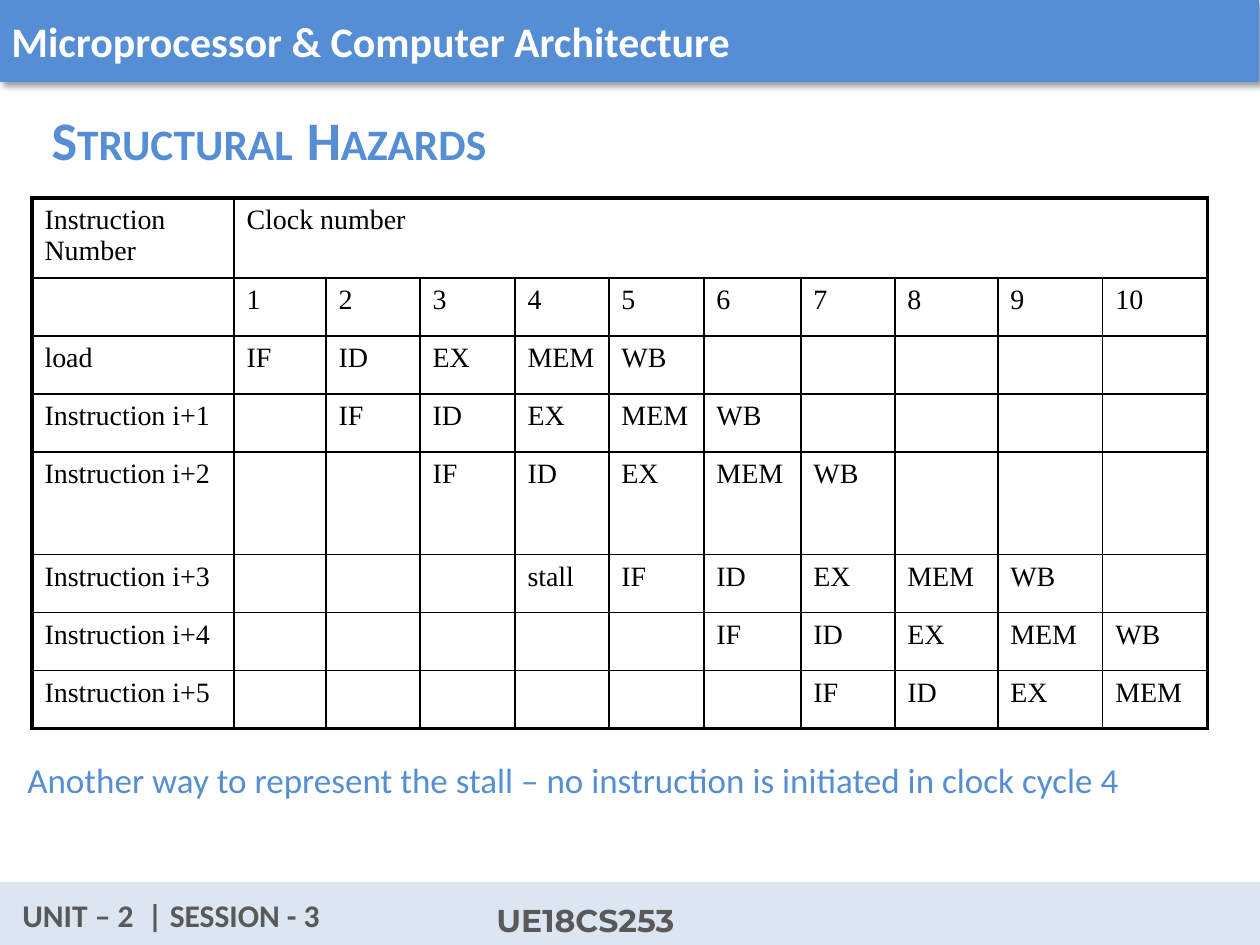
"""Build the structural hazards slide with its pipeline timing table."""
from dataclasses import dataclass

from lxml import etree
from pptx import Presentation
from pptx.dml.color import RGBColor
from pptx.enum import shapes, text
from pptx.oxml import ns
from pptx.util import Emu, Pt

PX = 914400 / 126


@dataclass(frozen=True)
class Theme:
    blue: RGBColor = RGBColor(0x55, 0x8E, 0xD5)
    pale: RGBColor = RGBColor(0xDC, 0xE6, 0xF2)
    grey: RGBColor = RGBColor(0x59, 0x59, 0x59)
    white: RGBColor = RGBColor(0xFF, 0xFF, 0xFF)
    black: RGBColor = RGBColor(0, 0, 0)
    sans: str = "Calibri"
    serif: str = "Times New Roman"
    code: str = "Montserrat"
    banner: int = 24
    title: int = 31
    title_gap: int = 44
    caption: int = 20
    footer: int = 18
    cell: int = 16
    outer_line: float = 2.21
    inner_line: float = 0.96


theme = Theme()


def px(*lengths):
    return [Emu(round(length * PX)) for length in lengths]


def style(paragraph, name, size, color, bold=False):
    paragraph.alignment = text.PP_ALIGN.LEFT
    font = paragraph.font
    font.name, font.size, font.bold = name, Pt(size), bold
    font.color.rgb = color


presentation = Presentation()
presentation.slide_width, presentation.slide_height = px(1260, 945)
slide = presentation.slides.add_slide(presentation.slide_layouts[5])

# Banner and footer bars
bars = []
for box, color in (((0, 882, 1260, 63), theme.pale), ((-1, -1, 1260, 83), theme.blue)):
    bar = slide.shapes.add_shape(shapes.MSO_SHAPE.RECTANGLE, *px(*box))
    bar.fill.solid()
    bar.fill.fore_color.rgb = color
    bar.line.fill.background()
    bar.shadow.inherit = False
    bars.append(bar)
banner = bars[-1]
banner.text_frame.text = "Microprocessor & Computer Architecture"
banner.text_frame.vertical_anchor = text.MSO_ANCHOR.MIDDLE
style(banner.text_frame.paragraphs[0], theme.sans, theme.banner, theme.white, True)

effects = banner._element.spPr.find(ns.qn("a:effectLst"))
shadow = etree.SubElement(effects, ns.qn("a:outerShdw"), blurRad=str(Pt(4)),
                          dist=str(Pt(3)), dir=str(45 * 60000), rotWithShape="0")
shadow_color = etree.SubElement(shadow, ns.qn("a:srgbClr"), val=str(theme.black))
etree.SubElement(shadow_color, ns.qn("a:alpha"), val="40000")

labels = [
    ("UNIT – 2  | SESSION - 3", (10, 890, 423, 50), theme.sans, theme.footer, theme.grey, True, False),
    ("UE18CS253", (484, 895, 227, 50), theme.code, theme.footer, theme.grey, True, False),
    ("Another way to represent the stall – no instruction is initiated in clock cycle 4",
     (15, 752, 1245, 96), theme.sans, theme.caption, theme.blue, False, True),
]
for wording, box, name, size, color, bold, wrap in labels:
    label = slide.shapes.add_textbox(*px(*box))
    label.text_frame.word_wrap = wrap
    label.text_frame.text = wording
    style(label.text_frame.paragraphs[0], name, size, color, bold)

title = slide.shapes.title
title.left, title.top, title.width, title.height = px(39, 77, 839, 105)
title.text_frame.vertical_anchor = text.MSO_ANCHOR.TOP
title.text_frame.auto_size = text.MSO_AUTO_SIZE.NONE
heading = title.text_frame.paragraphs[0]
style(heading, theme.sans, theme.title, theme.blue, True)
for wording, size in (("Structural", theme.title), (" ", theme.title_gap), ("Hazards", theme.title)):
    run = heading.add_run()
    run.text = wording
    run.font.size = Pt(size)
    run.font._element.set("cap", "small")

column_widths = [202, 92, 94, 95, 94, 95, 97, 94, 103, 105, 105]
row_heights = [79, 58, 58, 58, 103, 58, 58, 58]
clocks = len(column_widths) - 1
stages = ["IF", "ID", "EX", "MEM", "WB"]
instructions = [
    ("load", 1, stages),
    ("Instruction i+1", 2, stages),
    ("Instruction i+2", 3, stages),
    ("Instruction i+3", 4, ["stall"] + stages),
    ("Instruction i+4", 6, stages),
    ("Instruction i+5", 7, stages),
]
rows = [["Instruction Number", "Clock number"] + [""] * (clocks - 1),
        [""] + [str(clock) for clock in range(1, clocks + 1)]]
for name, start, steps in instructions:
    cells = [""] * (start - 1) + steps + [""] * clocks
    rows.append([name] + cells[:clocks])

frame = slide.shapes.add_table(len(rows), len(column_widths),
                               *px(32, 198, sum(column_widths), sum(row_heights)))
table = frame.table
table.first_row = table.horz_banding = False
for column, width in zip(table.columns, column_widths):
    column.width = px(width)[0]
for row, height in zip(table.rows, row_heights):
    row.height = px(height)[0]
table.cell(0, 1).merge(table.cell(0, clocks))

for r, row in enumerate(rows):
    for c, wording in enumerate(row):
        cell = table.cell(r, c)
        cell.text = wording
        style(cell.text_frame.paragraphs[0], theme.serif, theme.cell, theme.black)
        properties = cell._tc.get_or_add_tcPr()
        last_column = c == clocks or (r == 0 and c == 1)
        edges = {"L": c == 0, "R": last_column, "T": r == 0, "B": r == len(rows) - 1}
        for side, outer in edges.items():
            width = theme.outer_line if outer else theme.inner_line
            border = etree.SubElement(properties, ns.qn(f"a:ln{side}"), w=str(Pt(width)))
            fill = etree.SubElement(border, ns.qn("a:solidFill"))
            etree.SubElement(fill, ns.qn("a:srgbClr"), val=str(theme.black))
        cell.fill.background()

presentation.save("out.pptx")
